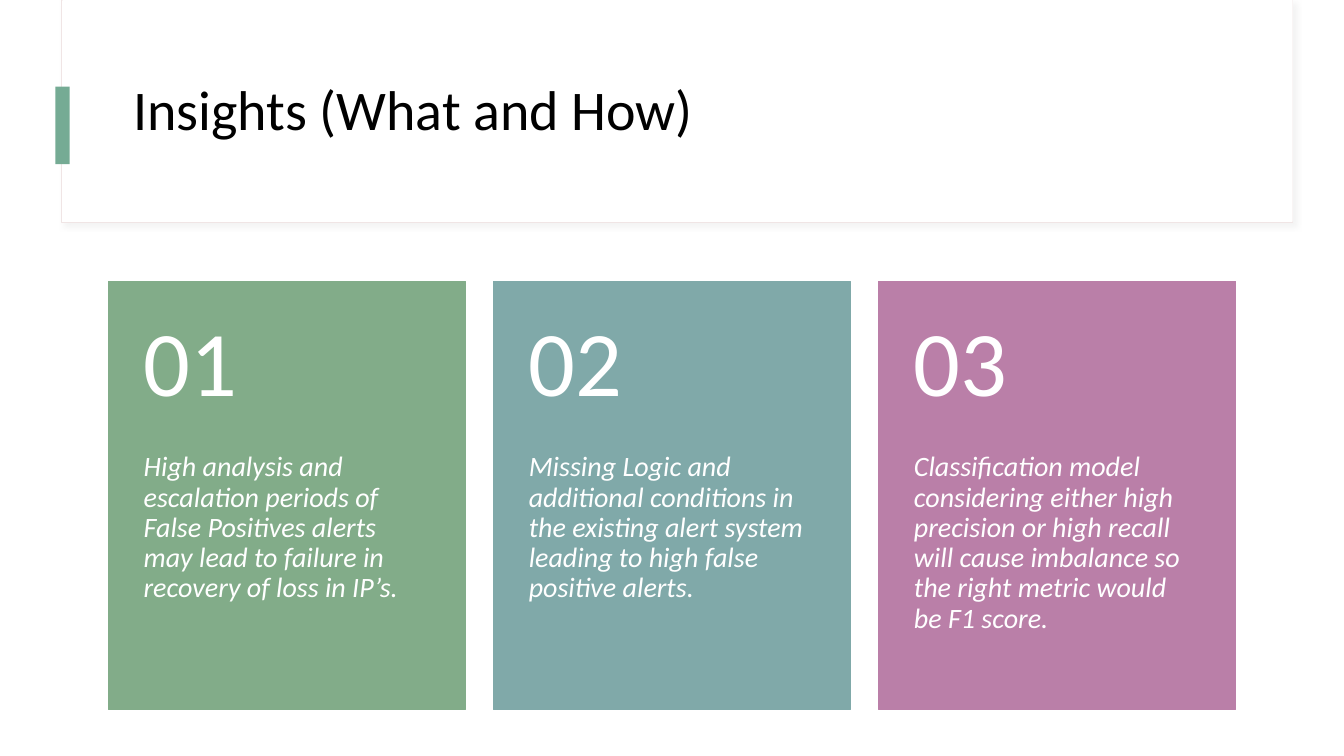
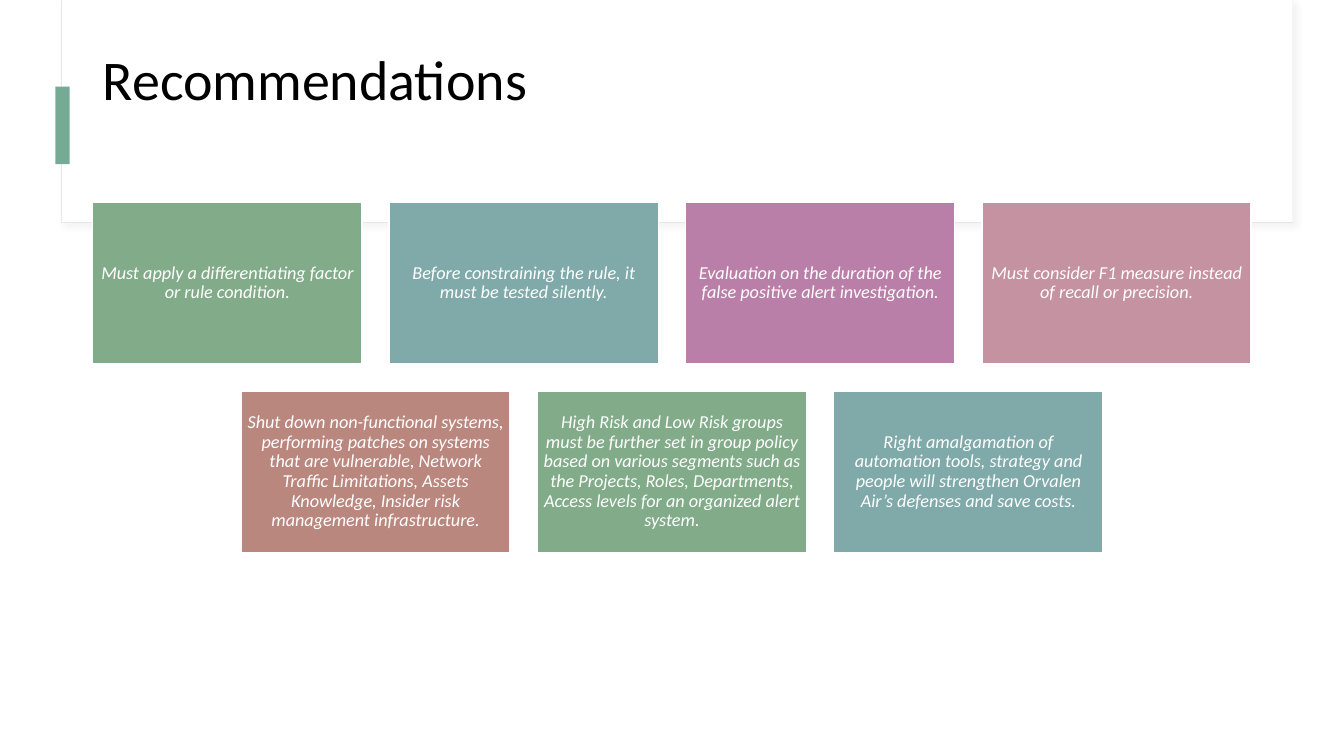
import pptx
import pptx.util
import pptx.dml.color
import pptx.enum.shapes
import pptx.enum.text
import pptx.oxml

RGBColor = pptx.dml.color.RGBColor
PP_ALIGN = pptx.enum.text.PP_ALIGN
MSO_ANCHOR = pptx.enum.text.MSO_ANCHOR
RECTANGLE = pptx.enum.shapes.MSO_SHAPE.RECTANGLE

WHITE = RGBColor(0xFF, 0xFF, 0xFF)
BLACK = RGBColor(0x00, 0x00, 0x00)
FRAME_LINE = RGBColor(0xF0, 0xE5, 0xE5)
ACCENT = RGBColor(0x75, 0xAB, 0x94)
GREEN = RGBColor(0x82, 0xAC, 0x89)
TEAL = RGBColor(0x80, 0xA9, 0xA9)
PURPLE = RGBColor(0xBA, 0x7F, 0xA8)
PINK = RGBColor(0xC4, 0x92, 0xA0)
BROWN = RGBColor(0xBA, 0x87, 0x7F)
CARD_COLORS = [GREEN, TEAL, PURPLE, PINK, BROWN]

FONT = "Calibri"
PAGE_WIDTH, PAGE_HEIGHT = 1333, 750
EMU_PER_PX = 9144

INSIGHTS_TITLE = "Insights (What and How)"
INSIGHTS = [
    "High analysis and escalation periods of False Positives alerts may lead to failure in recovery of loss in IP’s.",
    "Missing Logic and additional conditions in the existing alert system leading to high false positive alerts.",
    "Classification model considering either high precision or high recall will cause imbalance so the right metric "
    "would be F1 score.",
]

RECOMMENDATIONS_TITLE = "Recommendations"
RECOMMENDATION_ROWS = [
    [
        "Must apply a differentiating factor or rule condition.",
        "Before constraining the rule, it must be tested silently.",
        "Evaluation on the duration of the false positive alert investigation.",
        "Must consider F1 measure instead of recall or precision.",
    ],
    [
        "Shut down non-functional systems, performing patches on systems that are vulnerable, Network Traffic "
        "Limitations, Assets Knowledge, Insider risk management infrastructure.",
        "High Risk and Low Risk groups must be further set in group policy based on various segments such as the "
        "Projects, Roles, Departments, Access levels for an organized alert system.",
        "Right amalgamation of automation tools, strategy and people will strengthen Orvalen Air’s defenses and "
        "save costs.",
    ],
]

FRAME_SHADOW = (
    '<a:effectLst xmlns:a="http://schemas.openxmlformats.org/drawingml/2006/main">'
    '<a:outerShdw blurRad="50800" dist="38100" dir="2700000" algn="tl" rotWithShape="0">'
    '<a:srgbClr val="D9D9D9"><a:alpha val="30000"/></a:srgbClr>'
    '</a:outerShdw></a:effectLst>'
)


def px(length):
    return pptx.util.Emu(round(length * EMU_PER_PX))


def add_rectangle(slide, box, fill, line=None, line_width=1):
    shape = slide.shapes.add_shape(RECTANGLE, *map(px, box))
    shape.shadow.inherit = False
    shape.fill.solid()
    shape.fill.fore_color.rgb = fill
    if line is None:
        shape.line.fill.background()
    else:
        shape.line.color.rgb = line
        shape.line.width = pptx.util.Pt(line_width)
    return shape


def write(shape, text, size, color=WHITE, italic=False, align=PP_ALIGN.LEFT,
          anchor=MSO_ANCHOR.MIDDLE, insets=(10, 5, 10, 5)):
    """Fill a shape with one paragraph; insets are left, top, right, bottom."""
    frame = shape.text_frame
    frame.word_wrap = True
    frame.auto_size = pptx.enum.text.MSO_AUTO_SIZE.NONE
    frame.vertical_anchor = anchor
    frame.margin_left, frame.margin_top, frame.margin_right, frame.margin_bottom = map(px, insets)
    paragraph = frame.paragraphs[0]
    paragraph.alignment = align
    paragraph.line_spacing = 0.9
    run = paragraph.add_run()
    run.text = text
    run.font.name = FONT
    run.font.size = pptx.util.Pt(size)
    run.font.italic = italic
    run.font.color.rgb = color


def add_titled_slide(presentation, layout, title, box):
    slide = presentation.slides.add_slide(layout)
    placeholder = slide.shapes.title
    placeholder.left, placeholder.top, placeholder.width, placeholder.height = map(px, box)
    write(placeholder, title, 40, BLACK)
    return slide


def move_header_to_layout(slide, layout):
    """Draw the header band once and hand it to the layout that all slides share."""
    frame = add_rectangle(slide, (61, 0, 1221, 221), WHITE, FRAME_LINE, 0.75)
    properties = frame.element.spPr
    properties.replace(properties[-1], pptx.oxml.parse_xml(FRAME_SHADOW))
    panel = add_rectangle(slide, (62, 0, 1220, 220), WHITE)
    marker = add_rectangle(slide, (55, 86, 14, 77), ACCENT)
    for position, shape in enumerate((frame, panel, marker), start=2):
        layout.shapes.element.insert(position, shape.element)


def centred_row(count, width, gap):
    """Left edges of equal cards centred on the page."""
    left = (PAGE_WIDTH - count * width - (count - 1) * gap) / 2
    return [left + index * (width + gap) for index in range(count)]


def add_insight_cards(slide):
    top, width, height, number_height = 279, 354, 425, 170
    lefts = centred_row(len(INSIGHTS), width, 28)
    for number, (left, text, color) in enumerate(zip(lefts, INSIGHTS, CARD_COLORS), start=1):
        card = add_rectangle(slide, (left, top, width, height), color, color)
        write(card, text, 20, italic=True, anchor=MSO_ANCHOR.TOP, insets=(35, number_height, 35, 36))
        number_box = slide.shapes.add_textbox(*map(px, (left, top, width, number_height)))
        write(number_box, f"{number:02}", 66, insets=(35, 18, 35, 18))


def add_recommendation_cards(slide):
    top, width, height, gap = 201, 267, 160, 27
    card_number = 0
    for row, texts in enumerate(RECOMMENDATION_ROWS):
        for left, text in zip(centred_row(len(texts), width, gap), texts):
            color = CARD_COLORS[card_number % len(CARD_COLORS)]
            card = add_rectangle(slide, (left, top + row * (height + gap), width, height), color, WHITE)
            write(card, text, 13, italic=True, align=PP_ALIGN.CENTER, insets=(5, 5, 5, 5))
            card_number += 1


def main():
    presentation = pptx.Presentation()
    presentation.slide_width = px(PAGE_WIDTH)
    presentation.slide_height = px(PAGE_HEIGHT)
    layout = presentation.slide_layouts.get_by_name("Title Only")

    insights = add_titled_slide(presentation, layout, INSIGHTS_TITLE, (122, 56, 1119, 111))
    move_header_to_layout(insights, layout)
    add_insight_cards(insights)

    recommendations = add_titled_slide(presentation, layout, RECOMMENDATIONS_TITLE, (92, 27, 1149, 110))
    add_recommendation_cards(recommendations)

    presentation.save("out.pptx")


if __name__ == "__main__":
    main()
